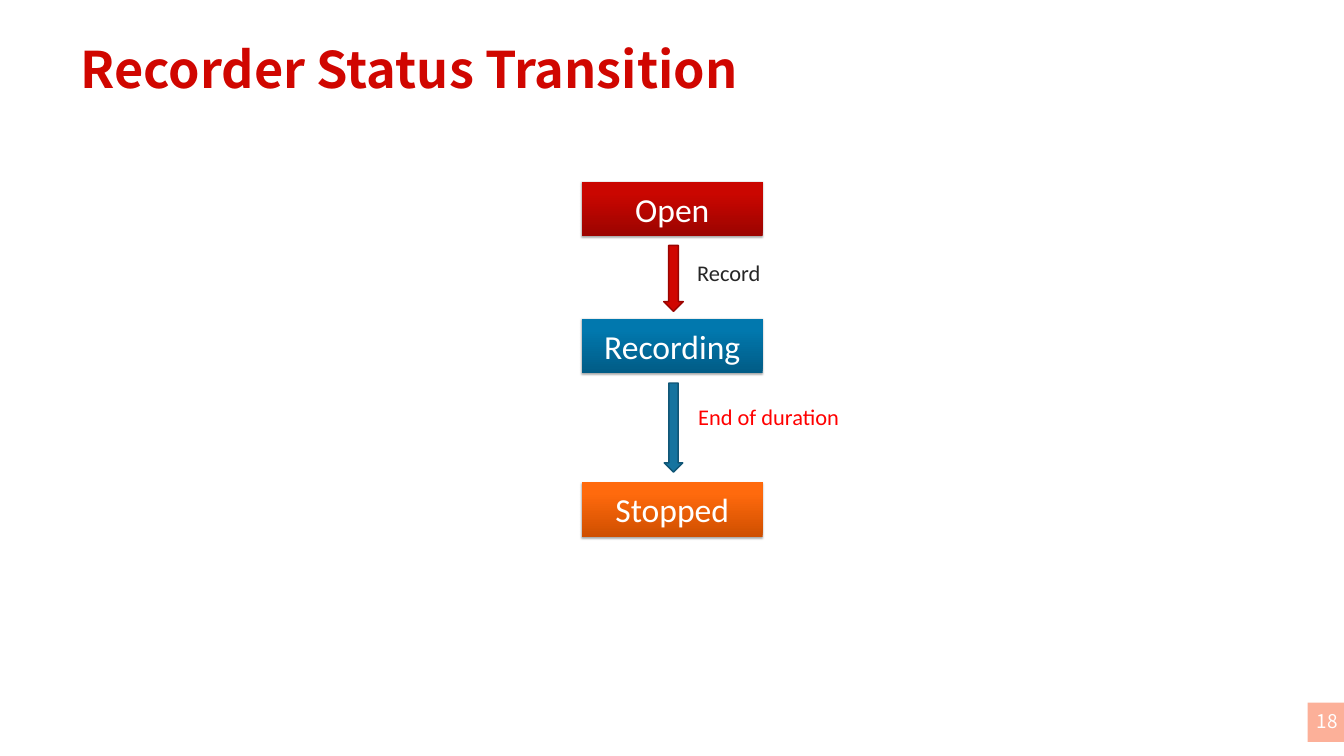
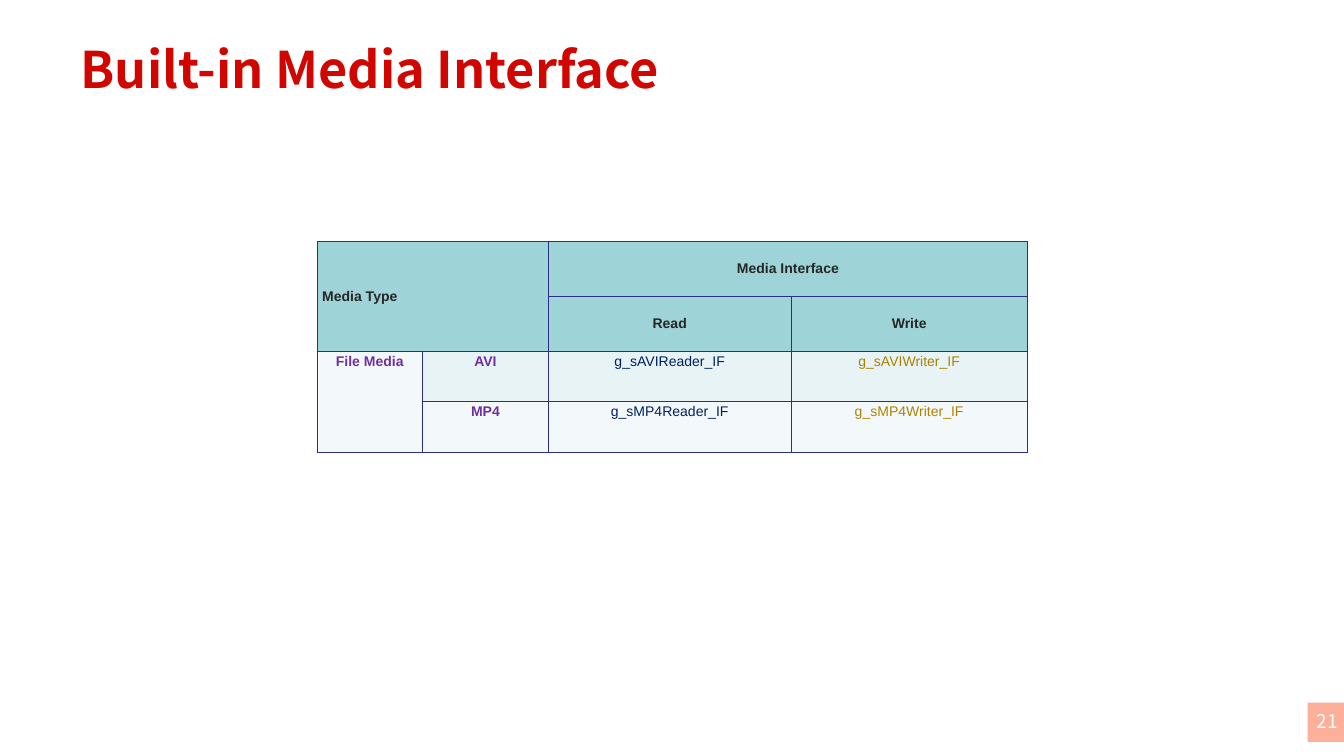
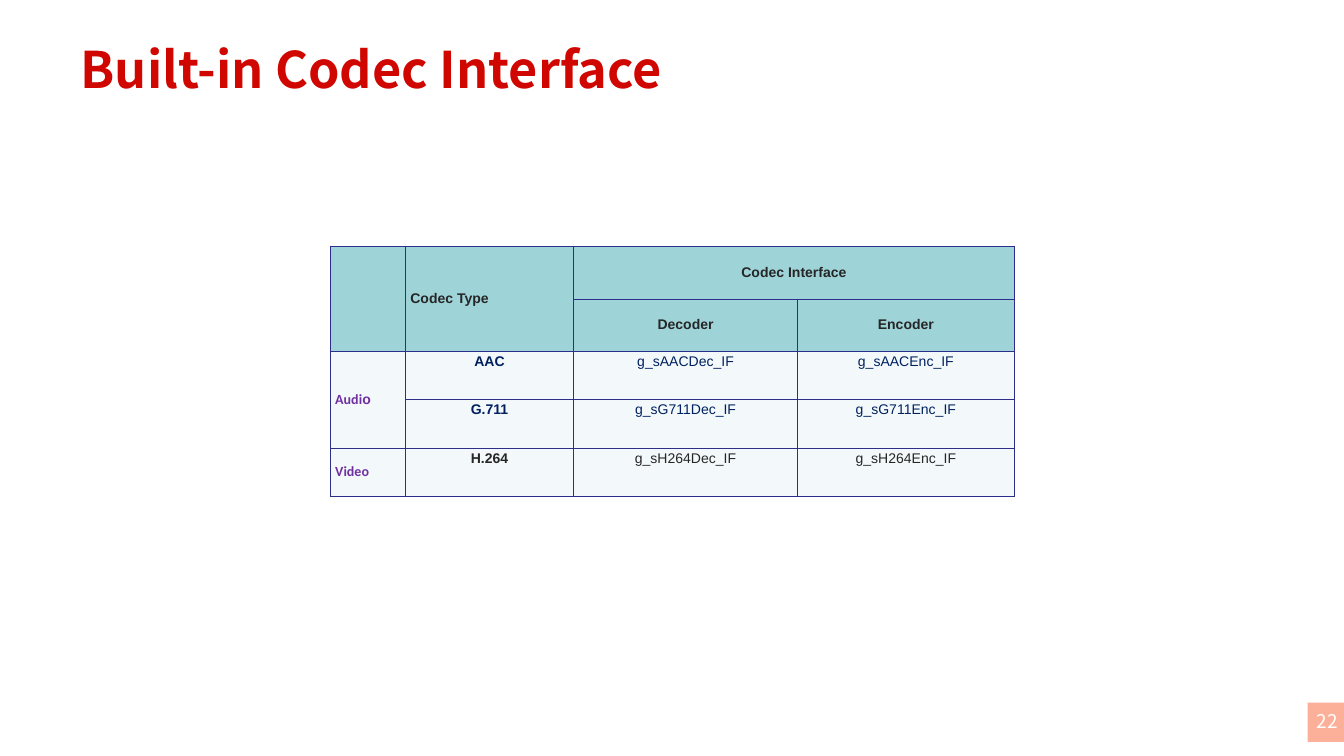
import lxml.etree
import pptx
import pptx.dml.color
import pptx.enum.dml
import pptx.enum.shapes
import pptx.enum.text
import pptx.oxml.ns
import pptx.util

Inches, Pt, qn = pptx.util.Inches, pptx.util.Pt, pptx.oxml.ns.qn
SHAPE = pptx.enum.shapes.MSO_SHAPE
ALIGN = pptx.enum.text.PP_ALIGN
ANCHOR = pptx.enum.text.MSO_ANCHOR
AUTO = pptx.enum.text.MSO_AUTO_SIZE

# Shared look
RED, WHITE, INK, NAVY, PURPLE, GOLD = "D00600", "FFFFFF", "262626", "002060", "7030A0", "AC8300"
HEAD, BAND, PALE, BORDER, BADGE = "9ED3D7", "E7F3F4", "F3F9FA", "2D2D8A", "FCB099"
TITLE = dict(name="Noto Sans CJK SC", size=72, bold=True, color=RED)
NUMBER = dict(name="Noto Sans CJK SC", size=27, color=WHITE)
STATE = dict(name="Calibri", size=48, color=WHITE)
WIDE_INSETS = dict(margin_left=0.27, margin_right=0.27, margin_top=0.13, margin_bottom=0.13)

# Status flow: states (text, top, dark, light), arrows (top, width, height, fill, line)
STATES = [
    ("Open", 3.61, "9B0400", "CA0600"),
    ("Recording", 6.32, "015C86", "0178AE"),
    ("Stopped", 9.57, "CF4F00", "FF6A0D"),
]
STATE_LEFT, STATE_W, STATE_H, ARROW_X = 11.54, 3.59, 1.08, 13.36
ARROWS = [(4.87, 0.39, 1.31, RED, "9A0400"), (7.6, 0.37, 1.77, "16749F", "105676")]
LABELS = [
    ("Record", INK, (13.73, 5.09, 1.47, 0.64)),
    ("End of duration", "FF0000", (13.75, 7.94, 3.03, 0.64)),
]


def cell_style(fill, color, bold=False, align=ALIGN.CENTER, anchor=ANCHOR.TOP, name="Arial"):
    return dict(fill=fill, align=align, anchor=anchor,
                font=dict(name=name, size=20, bold=bold, color=color))


STYLES = {
    "head": cell_style(HEAD, INK, True, anchor=ANCHOR.MIDDLE),
    "head left": cell_style(HEAD, INK, True, ALIGN.LEFT, ANCHOR.MIDDLE),
    "media": cell_style(PALE, PURPLE, True),
    "media band": cell_style(BAND, PURPLE, True),
    "reader": cell_style(PALE, NAVY),
    "reader band": cell_style(BAND, NAVY),
    "writer": cell_style(PALE, GOLD),
    "writer band": cell_style(BAND, GOLD),
    "group": cell_style(PALE, PURPLE, True, ALIGN.LEFT, ANCHOR.MIDDLE, "Calibri"),
    "codec": cell_style(PALE, NAVY, True),
    "codec ink": cell_style(PALE, INK, True),
    "name ink": cell_style(PALE, INK),
}

# Tables: each cell is (text, style); spans are (first row, first column, last row, last column)
MEDIA = dict(
    at=(6.29, 4.79), cols=[2.09, 2.5, 4.81, 4.69], rows=[1.09, 1.09, 1, 1],
    spans=[(0, 0, 1, 1), (0, 2, 0, 3), (2, 0, 3, 0)],
    cells=[
        [("Media Type", "head left"), ("", "head"), ("Media Interface", "head"), ("", "head")],
        [("", "head"), ("", "head"), ("Read", "head"), ("Write", "head")],
        [("File Media", "media"), ("AVI", "media band"),
         ("g_sAVIReader_IF", "reader band"), ("g_sAVIWriter_IF", "writer band")],
        [("", "media"), ("MP4", "media"),
         ("g_sMP4Reader_IF", "reader"), ("g_sMP4Writer_IF", "writer")],
    ])
CODEC = dict(
    at=(6.55, 4.89), cols=[1.49, 3.34, 4.44, 4.3], rows=[1.04, 1.04, 0.96, 0.96, 0.96],
    spans=[(0, 0, 1, 0), (0, 1, 1, 1), (0, 2, 0, 3), (2, 0, 3, 0)],
    cells=[
        [("", "head"), ("Codec Type", "head left"), ("Codec Interface", "head"), ("", "head")],
        [("", "head"), ("", "head"), ("Decoder", "head"), ("Encoder", "head")],
        [("Audi", "group"), ("AAC", "codec"),
         ("g_sAACDec_IF", "reader"), ("g_sAACEnc_IF", "reader")],
        [("", "group"), ("G.711", "codec"),
         ("g_sG711Dec_IF", "reader"), ("g_sG711Enc_IF", "reader")],
        [("Video", "group"), ("H.264", "codec ink"),
         ("g_sH264Dec_IF", "name ink"), ("g_sH264Enc_IF", "name ink")],
    ])


def rgb(value):
    return pptx.dml.color.RGBColor.from_string(value)


def box(left, top, width, height):
    return [Inches(v) for v in (left, top, width, height)]


def add_run(p, text, font):
    r = p.add_run()
    r.text = text
    for key, value in font.items():
        if key == "color":
            r.font.color.rgb = rgb(value)
        else:
            setattr(r.font, key, Pt(value) if key == "size" else value)


def write(tf, text, font, align=ALIGN.LEFT, anchor=ANCHOR.MIDDLE, wrap=True,
          auto=AUTO.NONE, insets=None):
    formats = dict(vertical_anchor=anchor, word_wrap=wrap, auto_size=auto)
    formats.update({key: Inches(v) for key, v in (insets or {}).items()})
    for key, value in formats.items():
        setattr(tf, key, value)
    tf.paragraphs[0].alignment = align
    add_run(tf.paragraphs[0], text, font)


def add_plain(s, kind, at, fill=None, line=None):
    sp = s.shapes.add_shape(kind, *box(*at))
    sp.shadow.inherit = False
    if fill:
        sp.fill.solid()
        sp.fill.fore_color.rgb = rgb(fill)
    if line:
        sp.line.color.rgb = rgb(line)
        sp.line.width = Pt(2)
    else:
        sp.line.fill.background()
    return sp


def add_slide(prs, title, number):
    s = prs.slides.add_slide(prs.slide_layouts[5])
    sp = s.shapes.title
    sp.left, sp.top, sp.width, sp.height = box(1.33, 0.42, 24.01, 1.86)
    write(sp.text_frame, title, TITLE, insets=WIDE_INSETS)
    add_plain(s, SHAPE.RECTANGLE, (25.94, 13.94, 0.78, 0.78), BADGE)
    sp = s.shapes.add_textbox(*box(25.8, 13.88, 1.05, 0.84))
    write(sp.text_frame, number, NUMBER, ALIGN.CENTER, insets=WIDE_INSETS)
    return s


def add_state(s, text, top, dark, light):
    sp = add_plain(s, SHAPE.RECTANGLE, (STATE_LEFT, top, STATE_W, STATE_H))
    sp.fill.gradient()
    sp.fill.gradient_angle = 90
    for stop, color, position in zip(sp.fill.gradient_stops, (dark, light), (0, 0.8)):
        stop.color.rgb = rgb(color)
        stop.position = position
    effects = sp.element.spPr.find(qn("a:effectLst"))
    shadow = lxml.etree.SubElement(effects, qn("a:outerShdw"), blurRad="40000", dist="23000",
                                   dir="5400000", rotWithShape="0")
    black = lxml.etree.SubElement(shadow, qn("a:srgbClr"), val="000000")
    lxml.etree.SubElement(black, qn("a:alpha"), val="35000")
    write(sp.text_frame, text, STATE, ALIGN.CENTER)


def set_borders(cell):
    tc_pr = cell._tc.get_or_add_tcPr()
    for i, side in enumerate(("lnL", "lnR", "lnT", "lnB")):
        ln = lxml.etree.Element(qn("a:" + side), w=str(Pt(1)))
        fill = lxml.etree.SubElement(ln, qn("a:solidFill"))
        lxml.etree.SubElement(fill, qn("a:srgbClr"), val=BORDER)
        tc_pr.insert(i, ln)


def add_grid(s, data):
    cols, rows = data["cols"], data["rows"]
    frame = s.shapes.add_table(len(rows), len(cols), *box(*data["at"], sum(cols), sum(rows)))
    table = frame.table
    table.first_row = table.horz_banding = False
    for col, width in zip(table.columns, cols):
        col.width = Inches(width)
    for row, height in zip(table.rows, rows):
        row.height = Inches(height)
    for r, line in enumerate(data["cells"]):
        for c, (text, name) in enumerate(line):
            cell, style = table.cell(r, c), STYLES[name]
            cell.fill.solid()
            cell.fill.fore_color.rgb = rgb(style["fill"])
            cell.vertical_anchor = style["anchor"]
            set_borders(cell)
            if text:
                p = cell.text_frame.paragraphs[0]
                p.alignment = style["align"]
                add_run(p, text, style["font"])
    for r1, c1, r2, c2 in data["spans"]:
        table.cell(r1, c1).merge(table.cell(r2, c2))
    return table


def main():
    prs = pptx.Presentation()
    prs.slide_width, prs.slide_height = Inches(26.66), Inches(15)

    # Status flow
    s = add_slide(prs, "Recorder Status Transition", "18")
    for state in STATES:
        add_state(s, *state)
    for top, width, height, fill, line in ARROWS:
        add_plain(s, SHAPE.DOWN_ARROW, (ARROW_X - width / 2, top, width, height), fill, line)
    for text, color, at in LABELS:
        sp = s.shapes.add_textbox(*box(*at))
        write(sp.text_frame, text, dict(name="Calibri", size=32, color=color),
              anchor=ANCHOR.TOP, wrap=False, auto=AUTO.SHAPE_TO_FIT_TEXT)

    # Media table
    add_grid(add_slide(prs, "Built-in Media Interface", "21"), MEDIA)

    # Codec table; the last letter of "Audio" is set in Arial
    table = add_grid(add_slide(prs, "Built-in Codec Interface", "22"), CODEC)
    add_run(table.cell(2, 0).text_frame.paragraphs[0], "o",
            dict(STYLES["group"]["font"], name="Arial"))

    prs.save("out.pptx")


if __name__ == "__main__":
    main()
